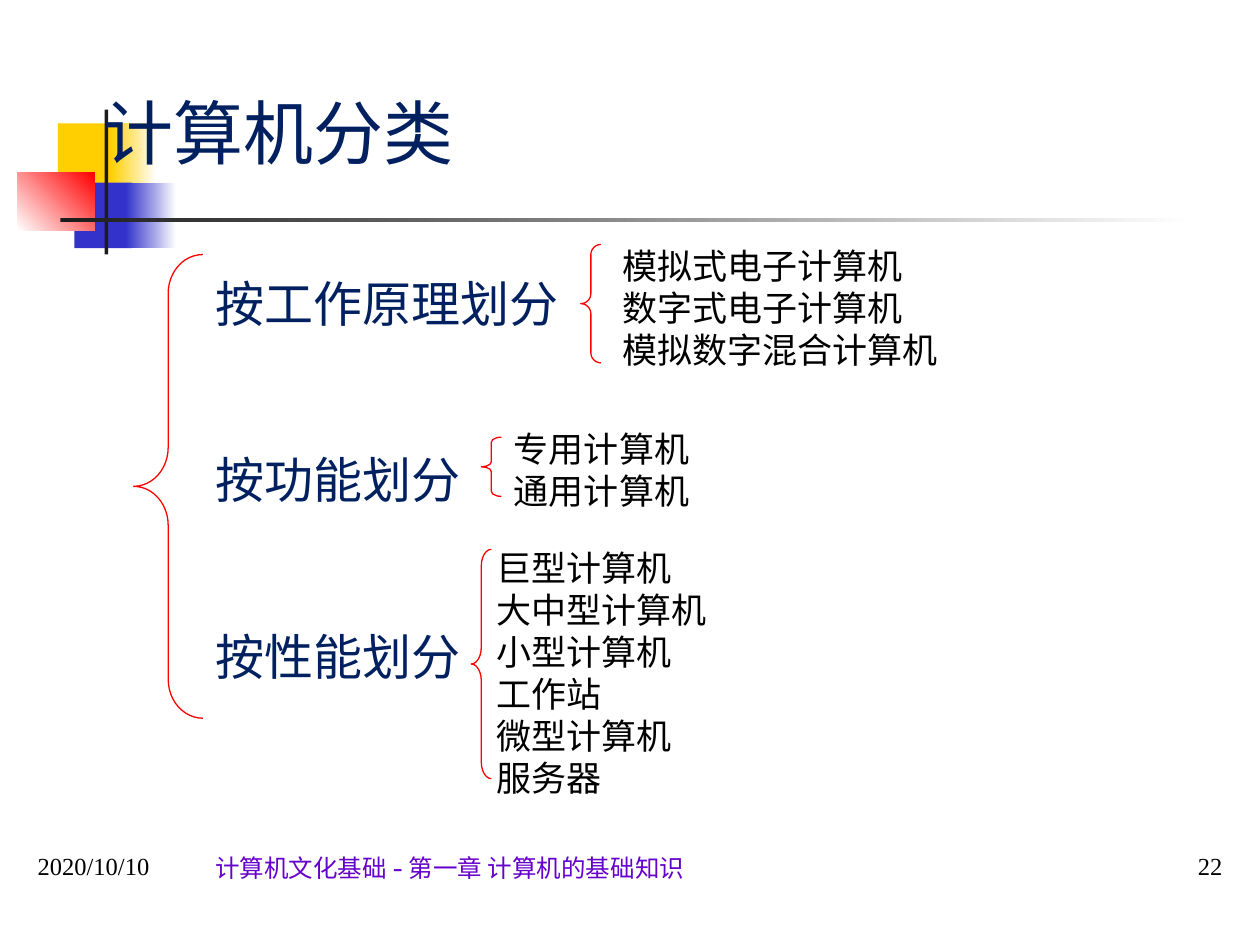
from dataclasses import dataclass

from lxml.etree import SubElement
from pptx import Presentation
from pptx.dml.color import RGBColor
from pptx.enum.shapes import MSO_SHAPE
from pptx.enum.text import MSO_ANCHOR, MSO_AUTO_SIZE, PP_ALIGN
from pptx.oxml.ns import qn
from pptx.util import Emu, Pt

EMU_PER_PX = 9144  # 100 px to the inch


@dataclass(frozen=True)
class Theme:
    white: str = "FFFFFF"
    black: str = "000000"
    ink: str = "1C1C1C"
    navy: str = "002060"
    purple: str = "6600CC"
    red: str = "FF0000"
    yellow: str = "FFCF01"
    blue: str = "3333CC"
    title_size: int = 40
    category_size: int = 28
    item_size: int = 20
    footer_size: int = 14
    title_font: str = "Noto Sans CJK SC"
    body_font: str = "Noto Sans CJK JP"
    footer_font: str = "Cabin"
    number_font: str = "Times New Roman"
    line_height: float = 1.2


class SlideBuilder:
    def __init__(self, slide, theme):
        self.slide = slide
        self.theme = theme

    def place(self, *lengths):
        return [Emu(length * EMU_PER_PX) for length in lengths]

    def block(self, at, colors, angle=0):
        """Draw a borderless rectangle, with a gradient when two colours are given."""
        box = self.slide.shapes.add_shape(MSO_SHAPE.RECTANGLE, *self.place(*at))
        box.shadow.inherit = False
        box.line.fill.background()
        if len(colors) == 1:
            box.fill.solid()
            box.fill.fore_color.rgb = RGBColor.from_string(colors[0])
            return
        box.fill.gradient()
        box.fill.gradient_angle = angle
        for stop, color in zip(box.fill.gradient_stops, colors):
            stop.color.rgb = RGBColor.from_string(color)

    def brace(self, at, curve):
        box = self.slide.shapes.add_shape(MSO_SHAPE.LEFT_BRACE, *self.place(*at))
        box.shadow.inherit = False
        box.adjustments[0] = curve
        box.fill.background()
        box.line.color.rgb = RGBColor.from_string(self.theme.red)
        box.line.width = Pt(0.75)

    def format_text(self, box, lines, size, font, color, align=PP_ALIGN.LEFT,
                    anchor=MSO_ANCHOR.TOP, gap=0, insets=(5, 5)):
        """Fill a box with one paragraph per line; gap is counted in blank lines."""
        frame = box.text_frame
        frame.text = "\n".join(lines)
        frame.word_wrap = True
        frame.auto_size = MSO_AUTO_SIZE.NONE
        frame.vertical_anchor = anchor
        frame.margin_top, frame.margin_bottom = self.place(*insets)
        pitch = size * self.theme.line_height
        for index, para in enumerate(frame.paragraphs):
            para.alignment = align
            para.line_spacing = Pt(pitch)
            para.space_before = Pt(gap * pitch if index else 0)
            for span in para.runs:
                span.font.size = Pt(size)
                span.font.color.rgb = RGBColor.from_string(color)
                span.font.name = font
                SubElement(span.font._element, qn("a:ea"), typeface=font)

    def text(self, at, lines, *style, **layout):
        box = self.slide.shapes.add_textbox(*self.place(*at))
        self.format_text(box, lines, *style, **layout)

    def placeholder(self, index, at, lines, *style, **layout):
        """Fill a template placeholder and bring it in front of the shapes drawn so far."""
        box = self.slide.placeholders[index]
        box.left, box.top, box.width, box.height = self.place(*at)
        self.slide.shapes._spTree.append(box._element)
        self.format_text(box, lines, *style, **layout)
        for para in box.text_frame.paragraphs:
            properties = para._p.get_or_add_pPr()
            properties.set("marL", "0")
            properties.set("indent", "0")
            SubElement(properties, qn("a:buNone"))


def main():
    theme = Theme()
    deck = Presentation()
    deck.slide_width, deck.slide_height = Emu(1000 * EMU_PER_PX), Emu(750 * EMU_PER_PX)
    page = SlideBuilder(deck.slides.add_slide(deck.slide_layouts[1]), theme)

    ornament = [
        ((46, 98, 48, 52), [theme.yellow], 0),
        ((88, 98, 36, 52), [theme.yellow, theme.white], 0),
        ((59, 145, 46, 52), [theme.blue], 0),
        ((100, 145, 40, 52), [theme.blue, theme.white], 0),
        ((14, 137, 61, 46), [theme.white, theme.red], 45),
        ((83, 87, 3, 115), [theme.ink], 0),
        ((48, 173, 900, 3), [theme.ink, theme.white], 0),
    ]
    for at, colors, angle in ornament:
        page.block(at, colors, angle)

    footers = [
        ((20, 654, 126, 50), "2020/10/10", theme.number_font, theme.black, PP_ALIGN.LEFT),
        ((161, 655, 677, 50), "计算机文化基础 - 第一章 计算机的基础知识",
         theme.footer_font, theme.purple, PP_ALIGN.LEFT),
        ((854, 654, 126, 50), "22", theme.number_font, theme.black, PP_ALIGN.RIGHT),
    ]
    for at, line, font, color, align in footers:
        page.text(at, [line], theme.footer_size, font, color,
                  align=align, anchor=MSO_ANCHOR.BOTTOM)

    page.placeholder(0, (72, 36, 856, 102), ["计算机分类"], theme.title_size,
                     theme.title_font, theme.navy, anchor=MSO_ANCHOR.BOTTOM, insets=(5, 0))
    page.brace((106, 202, 55, 368), 0.56)
    page.placeholder(1, (161, 209, 307, 340), ["按工作原理划分", "按功能划分", "按性能划分"],
                     theme.category_size, theme.body_font, theme.navy, gap=2, insets=(8, 5))

    groups = [
        ((484, 186, 346, 110), ["模拟式电子计算机", "数字式电子计算机", "模拟数字混合计算机"],
         (461, 194, 16, 94), 0.5),
        ((398, 331, 299, 77), ["专用计算机", "通用计算机"], (382, 347, 16, 47), 0.25),
        ((384, 426, 299, 212),
         ["巨型计算机", "大中型计算机", "小型计算机", "工作站", "微型计算机", "服务器"],
         (374, 436, 16, 182), 0.83),
    ]
    for list_at, items, brace_at, curve in groups:
        page.text(list_at, items, theme.item_size, theme.body_font, theme.black, insets=(8, 5))
        page.brace(brace_at, curve)

    deck.save("out.pptx")


if __name__ == "__main__":
    main()
